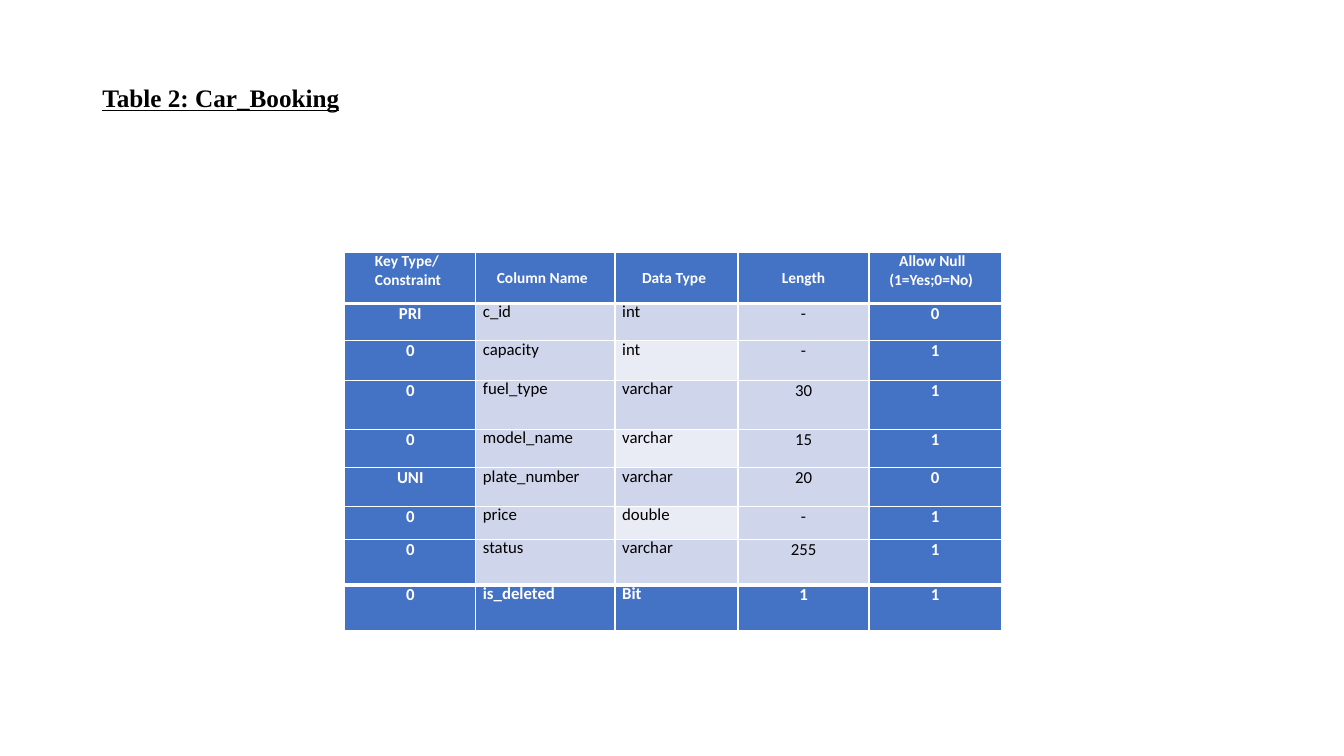
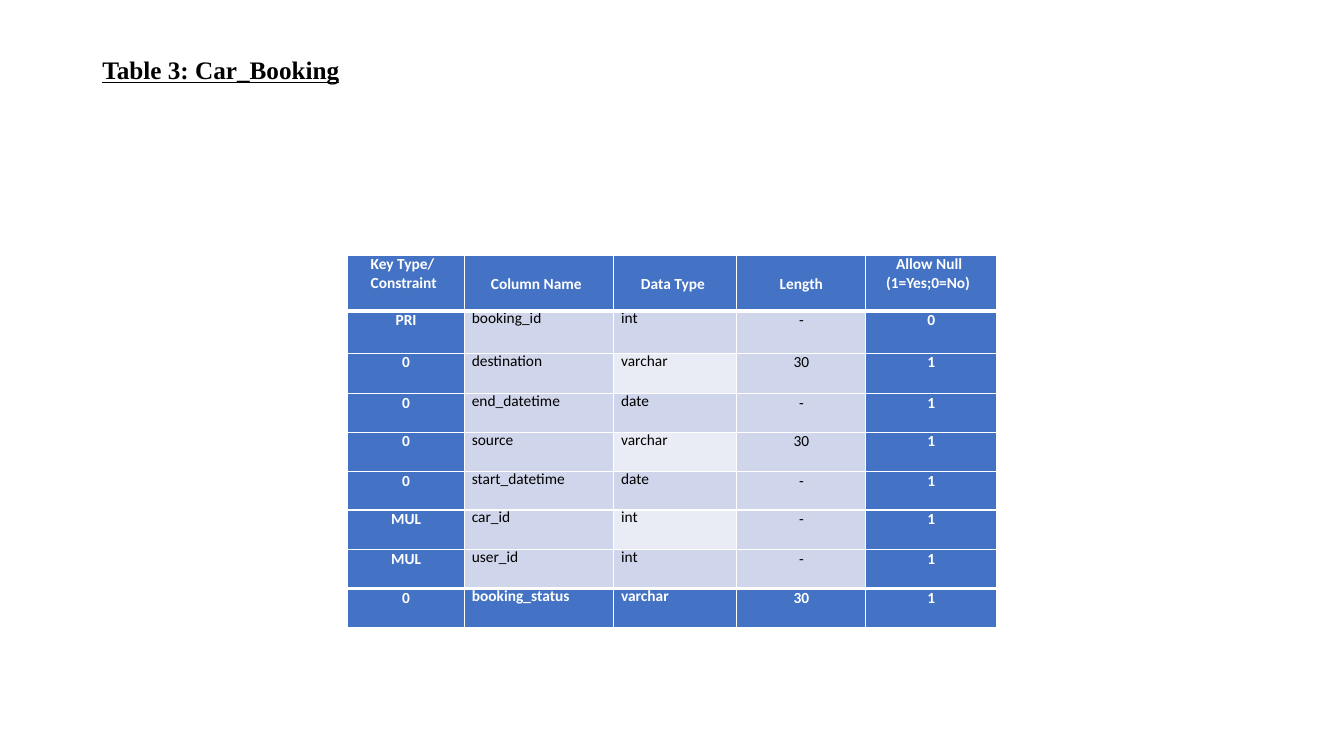
from dataclasses import dataclass

from pptx import Presentation
from pptx import util as u
from pptx.dml import color as clr
from pptx.enum import text as tx
from pptx.oxml import ns, xmlchemy as xml

HUES = {"blue": "4472C4", "tint": "CFD5EA", "pale": "E9EBF5",
        "white": "FFFFFF", "black": "000000"}
HEADS = ("Key Type/ Constraint", "Column Name", "Data Type", "Length",
         "Allow Null (1=Yes;0=No)")
LEFT, MID = tx.PP_ALIGN.LEFT, tx.PP_ALIGN.CENTER


@dataclass(frozen=True)
class Sheet:
    """One slide: a title above a table; lengths in cm, type in points."""
    title: str
    title_high: float
    left: float
    top: float
    cols: tuple[float, ...]
    rows: tuple[float, ...]
    size: int
    line: float                 # fixed line height of the name columns
    drop: float                 # top inset of one-line heads
    dents: tuple[float, ...]    # left indent of each head
    data: tuple[tuple[str, ...], ...]


SHEETS = (
    Sheet("Table 2: Car_Booking", 3, 8.69, 6.35,
          (3.3, 3.51, 3.1, 3.3, 3.33),
          (1.3, 0.94, 0.99, 1.24, 0.97, 0.97, 0.84, 1.14, 1.14),
          12, 13.4, 0.43, (0.76, 0.53, 0.68, 0, 0.51),
          (("PRI", "c_id", "int", "-", "0"),
           ("0", "capacity", "int", "-", "1"),
           ("0", "fuel_type", "varchar", "30", "1"),
           ("0", "model_name", "varchar", "15", "1"),
           ("UNI", "plate_number", "varchar", "20", "0"),
           ("0", "price", "double", "-", "1"),
           ("0", "status", "varchar", "255", "1"),
           ("0", "is_deleted", "Bit", "1", "1"))),
    Sheet("Table 3: Car_Booking", 1.6, 8.76, 6.43,
          (2.95, 3.76, 3.1, 3.25, 3.3),
          (1.4, 1.07, 1.02, 0.97, 0.99, 0.97, 0.99, 0.99, 0.99),
          11, 12.3, 0.5, (0.58, 0.66, 0.68, 0, 0.51),
          (("PRI", "booking_id", "int", "-", "0"),
           ("0", "destination", "varchar", "30", "1"),
           ("0", "end_datetime", "date", "-", "1"),
           ("0", "source", "varchar", "30", "1"),
           ("0", "start_datetime", "date", "-", "1"),
           ("MUL", "car_id", "int", "-", "1"),
           ("MUL", "user_id", "int", "-", "1"),
           ("0", "booking_status", "varchar", "30", "1"))),
)


def write(frame, words: str, *, size: float, hue: str, face: str = "Calibri",
          bold: bool = False, under: bool = False, align=LEFT,
          line=None, dent: float = 0, first: float = 0) -> None:
    """Set the text of a frame; dent and first-line indent are in cm."""
    par = frame.paragraphs[0]
    props = par._p.get_or_add_pPr()
    props.set("marL", str(u.Cm(dent)))
    props.set("indent", str(u.Cm(first)))
    par.alignment = align
    if line is not None:
        par.line_spacing = line
    run = par.add_run()
    run.text = words
    font = run.font
    font.name, font.size = face, u.Pt(size)
    font.bold, font.underline = bold, under
    font.color.rgb = clr.RGBColor.from_string(HUES[hue])


def edge(cell, **widths: float) -> None:
    """Draw white borders; keys L, R, T, B give widths in points."""
    props = cell._tc.get_or_add_tcPr()
    for spot, side in enumerate("LRTB"):
        rule = xml.OxmlElement(f"a:ln{side}")
        rule.set("w", str(u.Pt(widths[side])))
        fill = rule.makeelement(ns.qn("a:solidFill"), {})
        fill.append(fill.makeelement(ns.qn("a:srgbClr"),
                                     {"val": HUES["white"]}))
        rule.append(fill)
        props.insert(spot, rule)


def shade(row: int, col: int, last: int) -> str:
    """Blue frame, tinted middle, and a banded type column."""
    if row in (0, last) or col in (0, 4):
        return "blue"
    return "pale" if col == 2 and row % 2 == 0 else "tint"


def style(sheet: Sheet, row: int, col: int) -> dict:
    """Text format that a cell gets from its place."""
    if row == 0:
        return dict(size=11, align=MID if col == 3 else LEFT,
                    dent=sheet.dents[col], first=0.25 if col == 4 else 0)
    if col in (1, 2):
        return dict(size=sheet.size, line=u.Pt(sheet.line), dent=0.18)
    return dict(size=sheet.size, align=MID)


def grid(slide, sheet: Sheet) -> None:
    cells = (HEADS, *sheet.data)
    last = len(cells) - 1
    table = slide.shapes.add_table(
        len(cells), len(HEADS), u.Cm(sheet.left), u.Cm(sheet.top),
        u.Cm(sum(sheet.cols)), u.Cm(sum(sheet.rows))).table
    table.horz_banding = False
    table.first_row = False
    for col, wide in zip(table.columns, sheet.cols):
        col.width = u.Cm(wide)
    for row, high in zip(table.rows, sheet.rows):
        row.height = u.Cm(high)
    for r, words in enumerate(cells):
        for c, word in enumerate(words):
            cell = table.cell(r, c)
            cell.margin_left = cell.margin_right = cell.margin_bottom = 0
            cell.margin_top = u.Cm(sheet.drop if r == 0 and c in (1, 2, 3)
                                   else 0)
            tone = shade(r, c, last)
            cell.fill.solid()
            cell.fill.fore_color.rgb = clr.RGBColor.from_string(HUES[tone])
            # Thick rules part the head and the last row from the body
            edge(cell, L=1, R=1, T=3 if r in (1, last) else 1,
                 B=3 if r in (0, last - 1) else 1)
            dark = tone == "blue"
            write(cell.text_frame, word, bold=dark,
                  hue="white" if dark else "black", **style(sheet, r, c))


def head(slide, sheet: Sheet) -> None:
    box = slide.shapes.add_textbox(u.Cm(2.33), u.Cm(1.01), u.Cm(29.21),
                                   u.Cm(sheet.title_high))
    frame = box.text_frame
    frame.word_wrap = True
    frame.vertical_anchor = tx.MSO_ANCHOR.MIDDLE
    write(frame, sheet.title, size=18, hue="black", face="Times New Roman",
          bold=True, under=True, line=0.9)


def main() -> None:
    deck = Presentation()
    deck.slide_width, deck.slide_height = u.Cm(33.87), u.Cm(19.05)
    for sheet in SHEETS:
        slide = deck.slides.add_slide(deck.slide_layouts[6])
        head(slide, sheet)
        grid(slide, sheet)
    deck.save("out.pptx")


if __name__ == "__main__":
    main()
